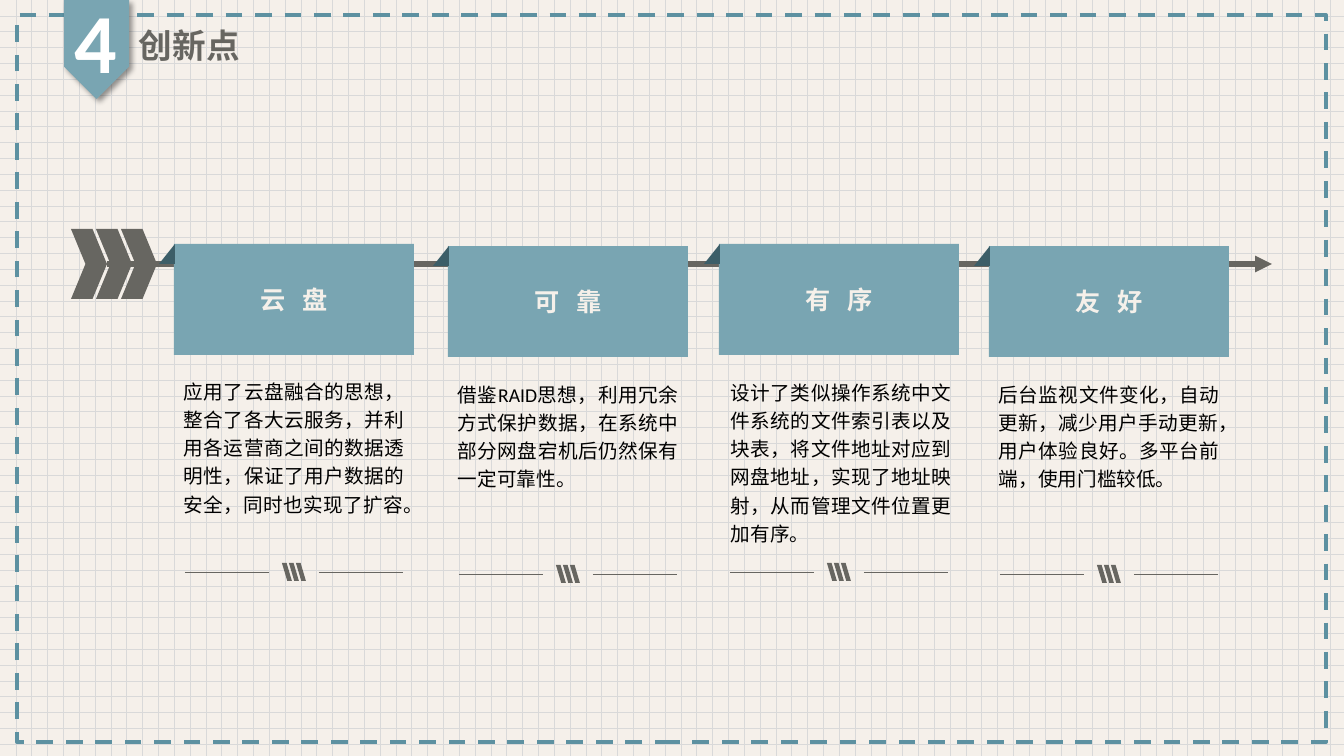
from lxml.etree import SubElement
from pptx import Presentation
from pptx.dml.color import RGBColor
from pptx.enum.dml import MSO_LINE, MSO_PATTERN
from pptx.enum.shapes import MSO_CONNECTOR, MSO_SHAPE as SHAPE
from pptx.enum.text import MSO_ANCHOR as ANCHOR, MSO_AUTO_SIZE as FIT, PP_ALIGN as ALIGN
from pptx.oxml.ns import qn
from pptx.util import Pt

PX = 914400 / 100.8
hue = RGBColor.from_string
HAN = "Noto Sans CJK SC"
CREAM, TEAL, DARK_TEAL, GREY = "F5F0EA", "79A5B2", "3C5E68", "676661"


def block(kind, x, y, w, h, fill, adjust=None, flip=False):
    shape = slide.shapes.add_shape(kind, *(round(v * PX) for v in (x, y, w, h)))
    shape.shadow.inherit = False
    shape.fill.solid()
    shape.fill.fore_color.rgb = hue(fill)
    shape.line.fill.background()
    if adjust is not None:
        shape.adjustments[0] = adjust
    if flip:
        shape._element.spPr.get_or_add_xfrm().set("flipH", "1")
    return shape


def write(text, box=None, holder=None, size=14, color="000000", bold=False, font="Calibri",
          align=ALIGN.LEFT, spacing=None, tracking=0, wrap=True):
    if holder is None:
        holder = slide.shapes.add_textbox(*(round(v * PX) for v in box))
        holder.text_frame.auto_size = FIT.SHAPE_TO_FIT_TEXT
    frame = holder.text_frame
    frame.word_wrap = wrap
    paragraph = frame.paragraphs[0]
    paragraph.alignment = align
    paragraph.line_spacing = spacing
    run = paragraph.add_run()
    run.text = text
    run.font.size = Pt(size)
    run.font.bold = bold
    run.font.name = font
    run.font.color.rgb = hue(color)
    props = run._r.get_or_add_rPr()
    SubElement(props, qn("a:ea"), typeface=HAN)
    if tracking:
        props.set("spc", str(tracking * 100))


deck = Presentation()
deck.slide_width, deck.slide_height = round(1344 * PX), round(756 * PX)
slide = deck.slides.add_slide(deck.slide_layouts[6])
grid = slide.background.fill
grid.patterned()
grid.pattern = MSO_PATTERN.DOTTED_GRID
grid.fore_color.rgb = hue("D9D9D9")
grid.back_color.rgb = hue(CREAM)

border = block(SHAPE.RECTANGLE, 17, 15, 1309, 727, CREAM)
border.fill.background()
border.line.color.rgb = hue("5D91A1")
border.line.width = Pt(3)
border.line.dash_style = MSO_LINE.DASH

write("创新点", (129, 20, 122, 50), size=24, color=GREY, bold=True, font=HAN, wrap=False)
ribbon = block(SHAPE.PENTAGON, 47, 17, 99, 65, TEAL)
ribbon.rotation = 90
effects = ribbon._element.spPr.find(qn("a:effectLst"))
shadow = SubElement(effects, qn("a:outerShdw"), blurRad=str(Pt(4)), dist=str(Pt(3)),
                    dir="2700000", algn="tl", rotWithShape="0")
SubElement(SubElement(shadow, qn("a:srgbClr"), val="000000"), qn("a:alpha"), val="40000")
write("4", (65, -15, 64, 112), size=60, color="FFFFFF", bold=True, wrap=False)

cards = [
    (174, 244, 174, 370, "云 盘",
     "应用了云盘融合的思想，整合了各大云服务，并利用各运营商之间的数据透明性，保证了用户数据的安全，同时也实现了扩容。"),
    (448, 246, 448, 373, "可 靠",
     "借鉴RAID思想，利用冗余方式保护数据，在系统中部分网盘宕机后仍然保有一定可靠性。"),
    (719, 244, 721, 371, "有 序",
     "设计了类似操作系统中文件系统的文件索引表以及块表，将文件地址对应到网盘地址，实现了地址映射，从而管理文件位置更加有序。"),
    (989, 246, 989, 373, "友 好",
     "后台监视文件变化，自动更新，减少用户手动更新，用户体验良好。多平台前端，使用门槛较低。"),
]

rules = [(107, 1272, 264, 4, True)]
for left, top, *_ in cards:
    for offset in (11, 145):
        rules.append((left + offset, left + offset + 84, top + 328, 0.5, False))

for start, end, y, weight, arrow in rules:
    rule = slide.shapes.add_connector(
        MSO_CONNECTOR.STRAIGHT, *(round(v * PX) for v in (start, y, end, y)))
    rule.line.color.rgb = hue(GREY)
    rule.line.width = Pt(weight)
    if arrow:
        SubElement(rule.line._get_or_add_ln(), qn("a:tailEnd"), type="triangle")
    SubElement(rule._element.spPr, qn("a:effectLst"))

for y, flip in ((229, True), (264, False)):
    for feather in range(3):
        block(SHAPE.PARALLELOGRAM, 71 + 25 * feather, y, 36, 35, GREY, 0.413, flip)

for left, top, text_left, text_top, heading, detail in cards:
    panel = block(SHAPE.RECTANGLE, left, top, 240, 111, TEAL)
    panel.text_frame.vertical_anchor = ANCHOR.MIDDLE
    write(heading, holder=panel, size=18, color=CREAM, bold=True, align=ALIGN.CENTER, tracking=4)
    block(SHAPE.ISOSCELES_TRIANGLE, left - 15, top, 16, 20, DARK_TEAL, 0, True)
    write(detail, (text_left, text_top, 240, 152), align=ALIGN.JUSTIFY, spacing=1.2)
    for slash in range(3):
        block(SHAPE.PARALLELOGRAM, left + 108 + 7 * slash, top + 319, 10, 18, GREY, 0.532, True)

deck.save("out.pptx")
